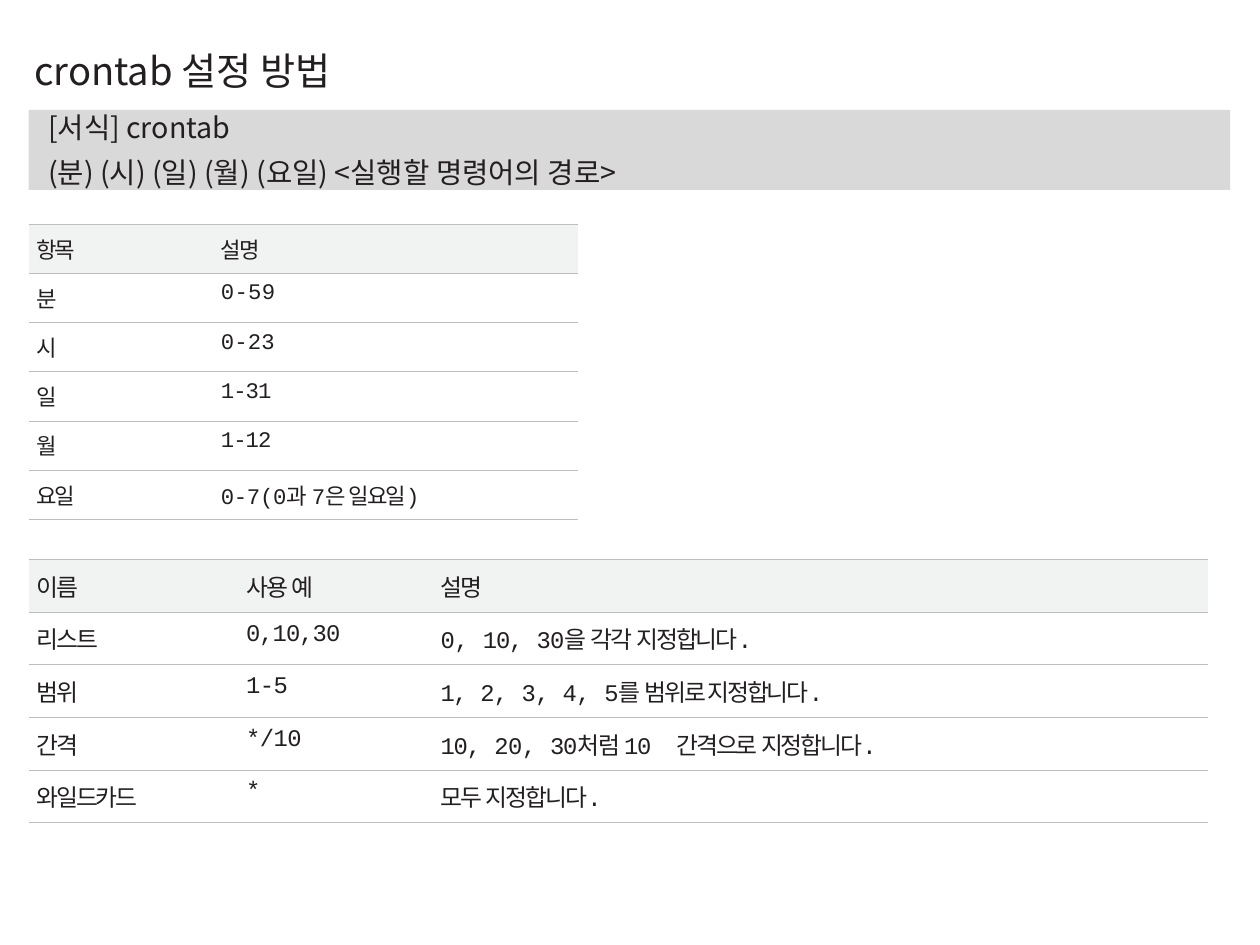
"""Build the crontab settings slide with its format line and two reference tables."""
from dataclasses import dataclass

from lxml.etree import SubElement
from pptx import Presentation
from pptx.dml.color import RGBColor
from pptx.enum.shapes import MSO_SHAPE
from pptx.enum.text import MSO_ANCHOR, PP_ALIGN
from pptx.oxml.ns import qn
from pptx.util import Inches, Pt

COLORS = {"ink": "231F20", "band": "D9D9D9", "header": "F1F2F2", "rule": "BCBEC0"}
SANS = "Noto Sans CJK KR"
MONO = "Courier New"

Runs = list[tuple[str, float]]


@dataclass
class Reference:
    left: float
    top: float
    row_height: float
    text_size: float
    inset_top: float
    widths: list[float]
    indents: list[float]
    rows: list[list[Runs]]


FIELDS = Reference(
    0.25, 1.96, 0.43, 14, 0.07, [1.23, 3.57], [0.07, 0.45],
    [
        [[("항목", -1.4)], [("설명", -1.4)]],
        [[("분", 0)], [("0-59", 0.2)]],
        [[("시", 0)], [("0-23", 0.1)]],
        [[("일", 0)], [("1-31", -0.6)]],
        [[("월", 0)], [("1-12", -0.6)]],
        [[("요일", -1.4)], [("0-7(0과 ", -0.2), ("7은", -0.9), (" 일요일)", -1.3)]],
    ],
)
NOTATIONS = Reference(
    0.25, 4.89, 0.46, 15, 0.08, [1.59, 1.73, 6.99], [0.07, 0.31, 0.28],
    [
        [[("이름", -1.4)], [("사용 ", -1.1), ("예", -0.9)], [("설명", -1.4)]],
        [[("리스트", -1.4)], [("0,10,30", -0.6)],
         [("0, ", -0.2), ("10, ", -0.7), ("30을 ", -0.5), ("각각 ", -1.2), ("지정합니다.", -1.3)]],
        [[("범위", -1.4)], [("1-5", -0.3)],
         [("1, ", -1), ("2, ", -0.5), ("3, 4, ", -0.4), ("5를 ", -0.8), ("범위로 지정합니다.", -1.3)]],
        [[("간격", -1.4)], [("*/10", -0.3)],
         [("10, ", -0.7), ("20, ", -0.3), ("30처럼 ", -0.8), ("10", -0.9), (" ", 7),
          ("간격으로 ", -1.4), ("지정합니다.", -1.3)]],
        [[("와일드카드", -1.4)], [("*", 0)], [("모두 ", -1.2), ("지정합니다.", -1.3)]],
    ],
)


def style_run(run, size: float, family: str) -> None:
    run.font.size = Pt(size)
    run.font.name = family
    run.font.color.rgb = RGBColor.from_string(COLORS["ink"])


def style_sans(frame, size: float) -> None:
    for paragraph in frame.paragraphs:
        for run in paragraph.runs:
            style_run(run, size, SANS)
            SubElement(run.font._element, qn("a:ea"), typeface=SANS)


def clear_insets(frame) -> None:
    frame.margin_left = frame.margin_top = frame.margin_right = frame.margin_bottom = 0
    frame.vertical_anchor = MSO_ANCHOR.TOP
    frame.word_wrap = True


def rule_cell(cell) -> None:
    properties = cell._tc.get_or_add_tcPr()
    for side in ("lnL", "lnR", "lnT", "lnB"):
        line = SubElement(properties, qn(f"a:{side}"), w=str(Pt(0.5)))
        if side in ("lnL", "lnR"):
            SubElement(line, qn("a:noFill"))
        else:
            solid = SubElement(line, qn("a:solidFill"))
            SubElement(solid, qn("a:srgbClr"), val=COLORS["rule"])


def fill_cell(cell, runs: Runs, reference: Reference, indent: float, is_header: bool) -> None:
    cell.margin_left = Inches(indent)
    cell.margin_top = Inches(reference.inset_top)
    cell.margin_right = cell.margin_bottom = 0
    cell.vertical_anchor = MSO_ANCHOR.TOP
    rule_cell(cell)
    if is_header:
        cell.fill.solid()
        cell.fill.fore_color.rgb = RGBColor.from_string(COLORS["header"])
    else:
        cell.fill.background()
    paragraph = cell.text_frame.paragraphs[0]
    for text, spacing in runs:
        run = paragraph.add_run()
        run.text = text
        style_run(run, reference.text_size, MONO)
        run.font._element.set("spc", str(round(spacing * 100)))


def add_reference(slide, reference: Reference) -> None:
    rows, widths = reference.rows, reference.widths
    table = slide.shapes.add_table(
        len(rows), len(widths), Inches(reference.left), Inches(reference.top),
        Inches(sum(widths)), Inches(reference.row_height * len(rows)),
    ).table
    table.first_row = table.horz_banding = False
    for column, width in zip(table.columns, widths):
        column.width = Inches(width)
    for row_index, row in enumerate(rows):
        table.rows[row_index].height = Inches(reference.row_height)
        for column_index, runs in enumerate(row):
            fill_cell(table.cell(row_index, column_index), runs, reference,
                      reference.indents[column_index], row_index == 0)


def add_title(slide) -> None:
    title = slide.shapes.add_textbox(Inches(0.3), Inches(0.21), Inches(10.42), Inches(1.91))
    frame = title.text_frame
    clear_insets(frame)
    frame.text = "crontab 설정 방법"
    frame.paragraphs[0].alignment = PP_ALIGN.JUSTIFY
    frame.paragraphs[0].line_spacing = 1.5
    style_sans(frame, 24)


def add_format_band(slide) -> None:
    band = slide.shapes.add_shape(
        MSO_SHAPE.RECTANGLE, Inches(0.25), Inches(0.96), Inches(10.5), Inches(0.7))
    band.shadow.inherit = False
    band.fill.solid()
    band.fill.fore_color.rgb = RGBColor.from_string(COLORS["band"])
    band.line.fill.background()
    frame = band.text_frame
    clear_insets(frame)
    frame.margin_left = Inches(0.17)
    frame.text = "[서식] crontab\n(분) (시) (일) (월) (요일) <실행할 명령어의 경로>"
    for paragraph in frame.paragraphs:
        paragraph.alignment = PP_ALIGN.LEFT
    frame.paragraphs[1].space_before = Pt(6.8)
    style_sans(frame, 18)


def main() -> None:
    deck = Presentation()
    deck.slide_width, deck.slide_height = Inches(11.01), Inches(8.26)
    slide = deck.slides.add_slide(deck.slide_layouts[6])
    add_title(slide)
    add_format_band(slide)
    for reference in (FIELDS, NOTATIONS):
        add_reference(slide, reference)
    deck.save("out.pptx")


if __name__ == "__main__":
    main()
